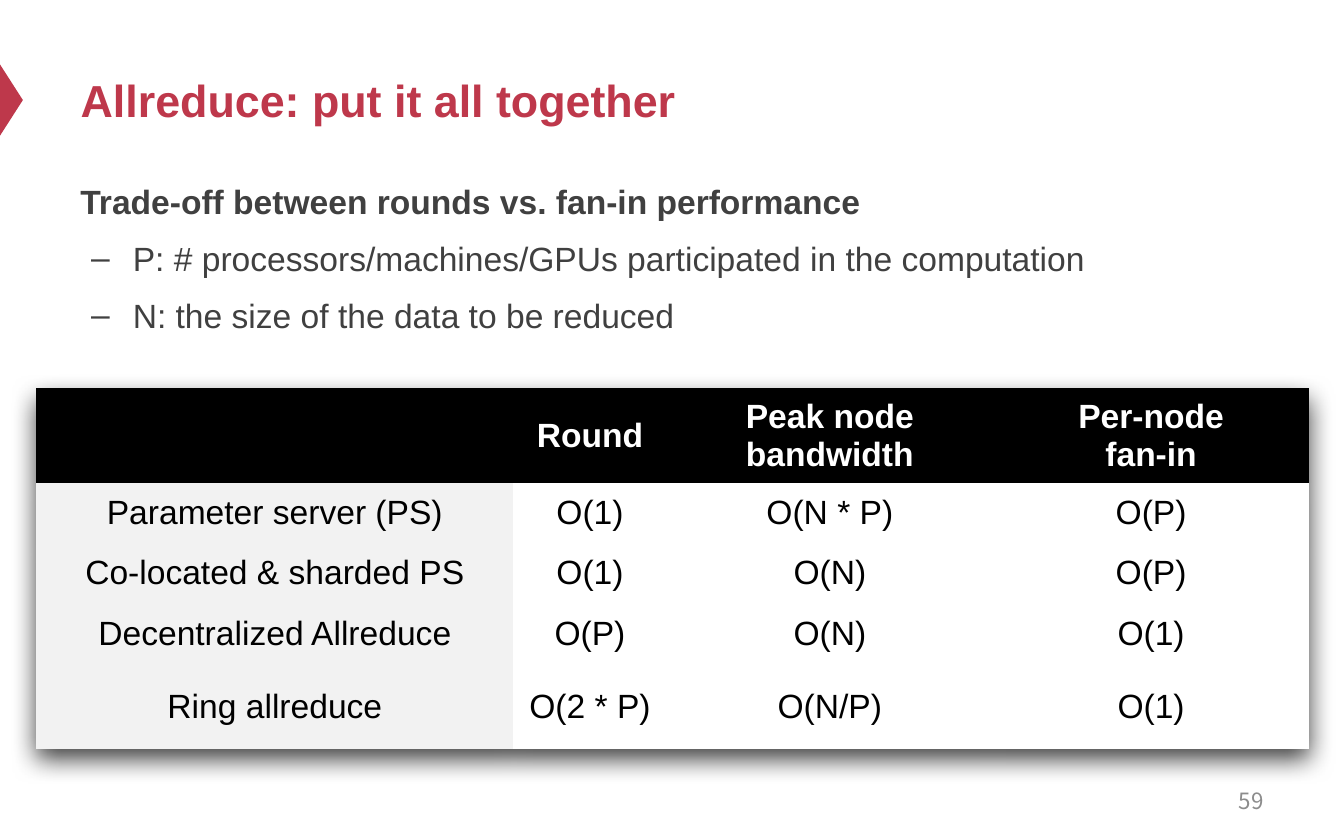
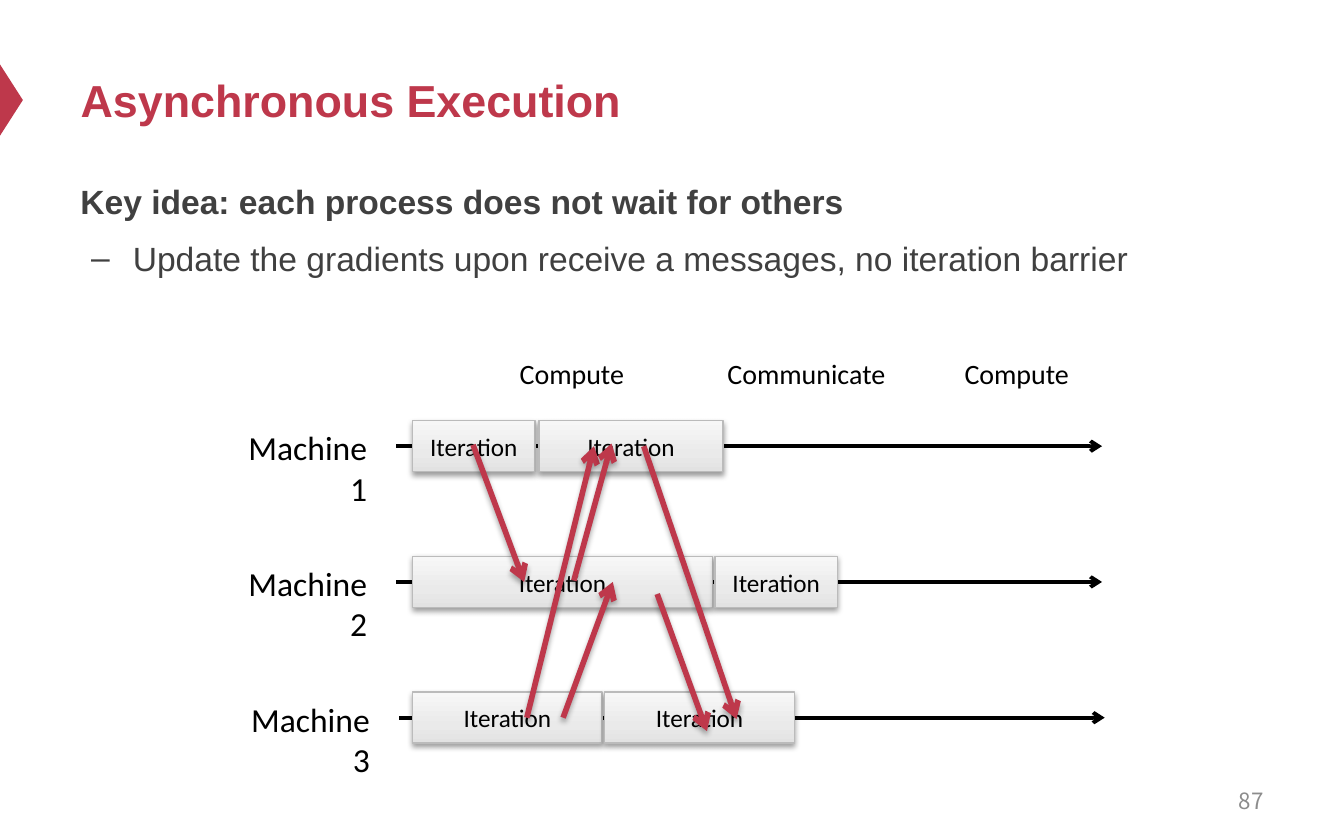
from collections import namedtuple

from lxml.etree import SubElement
from pptx import Presentation
from pptx.dml.color import RGBColor
from pptx.enum.shapes import MSO_CONNECTOR as Connector, MSO_SHAPE as Shape
from pptx.enum.text import MSO_ANCHOR as Anchor, MSO_AUTO_SIZE as AutoSize, PP_ALIGN as Align
from pptx.oxml.ns import qn
from pptx.util import Inches, Pt

COLORS = {
    "accent": "BE384B",
    "body": "404040",
    "number": "8C8C8C",
    "black": "000000",
    "white": "FFFFFF",
    "row_head": "F2F2F2",
    "bar_line": "BBBBBB",
}
BAR_STOPS = [(0, "E2E2E2"), (35, "EAEAEA"), (100, "F7F7F7")]
NO_GRID_STYLE = "{2D5ABB26-0587-4C30-8999-92F81FD0307C}"

Box = namedtuple("Box", "left top width height")


def inches(box):
    return [Inches(round(value, 2)) for value in box]


def color(name):
    return RGBColor.from_string(COLORS[name])


def set_font(font, size, color_name, name="Arial", bold=False):
    font.name, font.size, font.bold = name, Pt(size), bold
    font.color.rgb = color(color_name)


def add_shadow(properties, alpha, blur, distance, position=None):
    """Cast a black shadow downwards."""
    effects = SubElement(properties, qn("a:effectLst"))
    if position is not None:
        properties.insert(position, effects)
    shadow = SubElement(effects, qn("a:outerShdw"), blurRad=str(Pt(blur)),
                        dist=str(Pt(distance)), dir="5400000", rotWithShape="0")
    black = SubElement(shadow, qn("a:srgbClr"), val=COLORS["black"])
    SubElement(black, qn("a:alpha"), val=str(alpha * 1000))


def add_text(page, box, text, size, color_name, font="Calibri",
             align=Align.CENTER, anchor=Anchor.TOP):
    frame = page.shapes.add_textbox(*inches(box)).text_frame
    frame.word_wrap = True
    frame.vertical_anchor = anchor
    para = frame.paragraphs[0]
    para.text, para.alignment = text, align
    set_font(para.font, size, color_name, font)


def add_arrow(page, start, end, color_name, width):
    arrow = page.shapes.add_connector(Connector.STRAIGHT, *inches(start + end))
    arrow.line.color.rgb = color(color_name)
    arrow.line.width = Pt(width)
    properties = arrow._element.spPr
    SubElement(properties.find(qn("a:ln")), qn("a:tailEnd"), type="arrow")
    return properties


# Shared parts of every page
def add_page(deck, title, number):
    page = deck.slides.add_slide(deck.slide_layouts[5])

    marker = page.shapes.add_shape(Shape.ISOSCELES_TRIANGLE, *inches((-0.18, 0.66, 0.53, 0.17)))
    marker.rotation = 90
    marker.shadow.inherit = False
    marker.fill.solid()
    marker.fill.fore_color.rgb = color("accent")
    marker.line.fill.background()

    heading = page.shapes.title
    heading.left, heading.top, heading.width, heading.height = inches((0.5, 0.25, 9, 0.98))
    frame = heading.text_frame
    frame.text = title
    frame.auto_size = AutoSize.NONE
    frame.vertical_anchor = Anchor.MIDDLE
    frame.paragraphs[0].alignment = Align.LEFT
    set_font(frame.paragraphs[0].font, 24, "accent", bold=True)

    add_text(page, Box(7.17, 5.79, 2.33, 0.33), number, 12, "number",
             "Noto Sans CJK SC", Align.RIGHT, Anchor.MIDDLE)
    return page


def add_body(page, box, lead, points):
    frame = page.shapes.add_textbox(*inches(box)).text_frame
    frame.word_wrap = True
    for index, text in enumerate([lead, *points]):
        para = frame.add_paragraph() if index else frame.paragraphs[0]
        para.text = text
        para.line_spacing = 1.2
        if index:
            para.space_before = Pt(4.5)
            settings = para._p.get_or_add_pPr()
            settings.set("marL", str(Inches(0.39)))
            settings.set("indent", str(Inches(-0.31)))
            SubElement(settings, qn("a:buFont"), typeface="Arial")
            SubElement(settings, qn("a:buChar"), char="–")
        set_font(para.font, 18, "body", bold=index == 0)


# Comparison table
def add_cost_table(page, box, rows, column_widths, row_heights):
    graphic = page.shapes.add_table(len(rows), len(rows[0]), *inches(box))
    table = graphic.table
    table.horz_banding = False
    settings = table._tbl.tblPr
    settings.find(qn("a:tableStyleId")).text = NO_GRID_STYLE
    add_shadow(settings, 75, 14, 6, position=0)

    for column, width in zip(table.columns, column_widths):
        column.width = Inches(width)
    for row, height in zip(table.rows, row_heights):
        row.height = Inches(height)

    for row_index, row in enumerate(rows):
        header = row_index == 0
        for column_index, text in enumerate(row):
            cell = table.cell(row_index, column_index)
            cell.text = text
            cell.vertical_anchor = Anchor.MIDDLE
            if not header:
                cell.margin_left = cell.margin_right = cell.margin_top = cell.margin_bottom = 0
            cell.fill.solid()
            fill = "black" if header else "white" if column_index else "row_head"
            cell.fill.fore_color.rgb = color(fill)
            for para in cell.text_frame.paragraphs:
                para.alignment = Align.CENTER
                set_font(para.font, 18, "white" if header else "black", bold=header)


# Timeline diagram
def add_iteration(page, box):
    bar = page.shapes.add_shape(Shape.RECTANGLE, *inches(box))
    bar.fill.gradient()
    bar.fill.gradient_angle = 90
    bar.line.color.rgb = color("bar_line")
    bar.line.width = Pt(0.75)
    properties = bar._element.spPr
    stops = properties.find(qn("a:gradFill")).find(qn("a:gsLst"))
    stops.clear()
    for position, value in BAR_STOPS:
        stop = SubElement(stops, qn("a:gs"), pos=str(position * 1000))
        SubElement(stop, qn("a:srgbClr"), val=value)
    add_shadow(properties, 38, 3.1, 1.6)

    frame = bar.text_frame
    frame.vertical_anchor = Anchor.MIDDLE
    para = frame.paragraphs[0]
    para.text, para.alignment = "Iteration", Align.CENTER
    set_font(para.font, 13.5, "black", "Calibri")


def add_timelines(page, box, phases, machines, messages):
    for text, left, width in phases:
        add_text(page, Box(box.left + left, box.top, width, 0.35), text, 15, "black")

    lane_gap, bar_height = 1.01, 0.38
    for index, (name, shift, bars) in enumerate(machines):
        lane = box.top + 0.72 + index * lane_gap
        top = lane - bar_height / 2
        left = box.left + shift
        add_text(page, Box(left, top, 1.22, 0.4), name, 18, "black", align=Align.RIGHT)
        properties = add_arrow(page, (left + 1.34, lane), (left + 6.59, lane), "black", 2)
        SubElement(properties, qn("a:effectLst"))
        for bar_left, width in bars:
            add_iteration(page, Box(box.left + bar_left, top, width, bar_height))

    for x1, y1, x2, y2 in messages:
        properties = add_arrow(page, (box.left + x1, box.top + y1),
                               (box.left + x2, box.top + y2), "accent", 3)
        add_shadow(properties, 35, 3.1, 1.8)


def build_allreduce(deck, body_box):
    page = add_page(deck, "Allreduce: put it all together", "59")
    add_body(page, body_box, "Trade-off between rounds vs. fan-in performance", [
        "P: # processors/machines/GPUs participated in the computation",
        "N: the size of the data to be reduced",
    ])
    rows = [
        ("", "Round", "Peak node bandwidth", "Per-node\nfan-in"),
        ("Parameter server (PS)", "O(1)", "O(N * P)", "O(P)"),
        ("Co-located & sharded PS", "O(1)", "O(N)", "O(P)"),
        ("Decentralized Allreduce", "O(P)", "O(N)", "O(1)"),
        ("Ring allreduce", "O(2 * P)", "O(N/P)", "O(1)"),
    ]
    add_cost_table(page, Box(0.27, 2.89, 9.47, 2.64), rows,
                   [3.55, 1.14, 2.43, 2.35], [0.66, 0.45, 0.45, 0.45, 0.63])


def build_asynchronous(deck, body_box):
    page = add_page(deck, "Asynchronous Execution", "87")
    add_body(page, body_box, "Key idea: each process does not wait for others", [
        "Update the gradients upon receive a messages, no iteration barrier",
    ])
    phases = [("Compute", 2.15, 0.99), ("Communicate", 3.7, 1.38), ("Compute", 5.46, 0.99)]
    machines = [
        ("Machine 1", 0, [(1.46, 0.91), (2.4, 1.37)]),
        ("Machine 2", 0, [(1.46, 2.23), (3.71, 0.91)]),
        ("Machine 3", 0.02, [(1.46, 1.41), (2.89, 1.41)]),
    ]
    messages = [
        (1.91, 0.71, 2.29, 1.73),
        (2.58, 2.74, 2.95, 1.73),
        (2.31, 2.74, 2.81, 0.72),
        (3.18, 0.72, 3.87, 2.75),
        (2.66, 1.72, 2.94, 0.7),
        (3.28, 1.82, 3.65, 2.84),
    ]
    add_timelines(page, Box(1.61, 2.6, 6.61, 2.95), phases, machines, messages)


def main():
    deck = Presentation()
    deck.slide_width, deck.slide_height = Inches(10), Inches(6.25)
    body_box = Box(0.5, 1.24, 9, 4.12)
    build_allreduce(deck, body_box)
    build_asynchronous(deck, body_box)
    deck.save("out.pptx")


if __name__ == "__main__":
    main()
